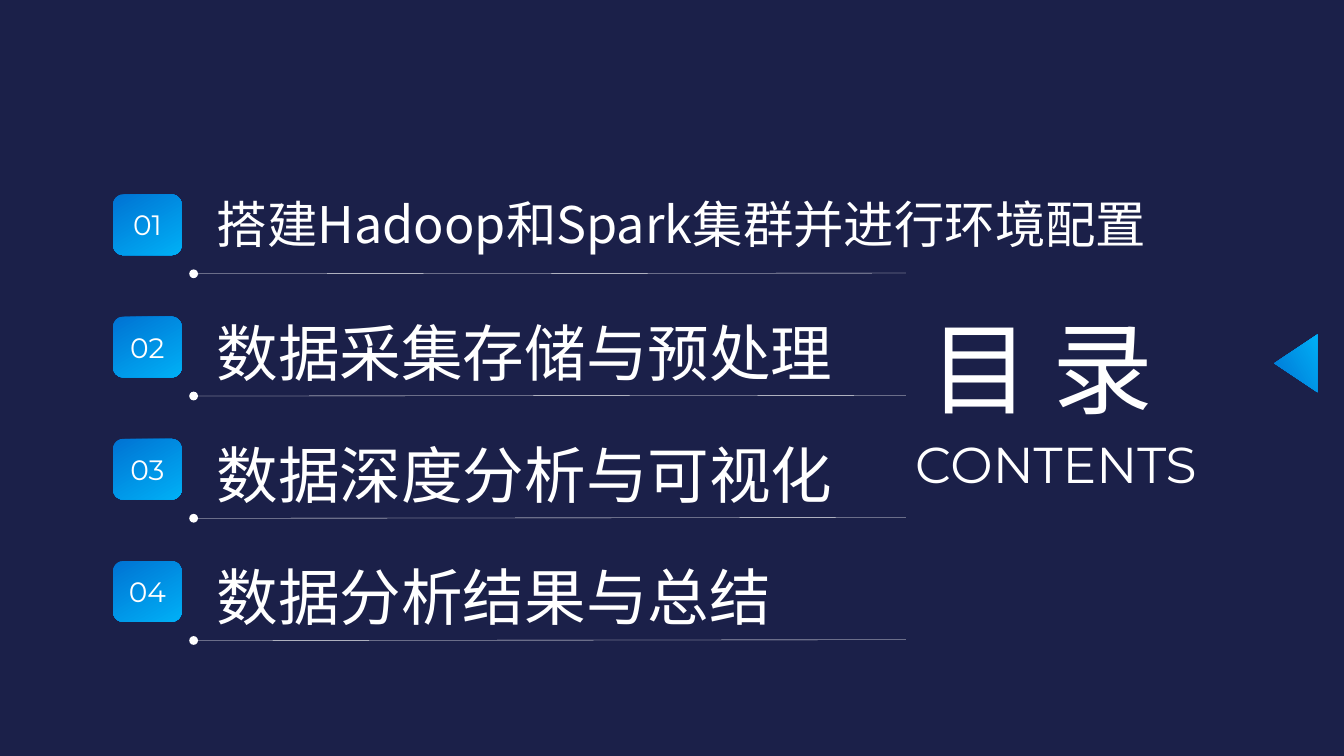
from lxml import etree
from pptx import Presentation
from pptx.dml.color import RGBColor
from pptx.enum import shapes, text
from pptx.oxml import ns
from pptx.util import Cm, Pt

TITLE = "目 录"
SUBTITLE = "CONTENTS"
ITEMS = [
    ("搭建Hadoop和Spark集群并进行环境配置", 36, 26.31, 1.8),
    ("数据采集存储与预处理", 44, 16.97, 2.13),
    ("数据深度分析与可视化", 44, 16.97, 2.13),
    ("数据分析结果与总结", 44, 16.97, 2.13),
]

NAVY = RGBColor(0x1B, 0x20, 0x49)
WHITE = RGBColor(0xFF, 0xFF, 0xFF)
BLUE = RGBColor(0x00, 0x73, 0xD3)
SKY = RGBColor(0x00, 0xB0, 0xF6)
CJK = "Noto Sans CJK SC"
LATIN = "Montserrat"

FIRST_TOP, PITCH = 4.9, 3.08
BADGE_LEFT, BADGE_W, BADGE_H = 2.85, 1.73, 1.53
TEXT_LEFT, TEXT_RISE = 5.21, 0.17
RULE_LEFT, RULE_RIGHT, RULE_DROP = 4.88, 22.83, 2.0
DOT = 0.22


def write(sp, content, size, font):
    """Put one white line of text into a shape."""
    tf = sp.text_frame
    tf.text = content
    tf.word_wrap = True
    p = tf.paragraphs[0]
    r = p.runs[0]
    r.font.size = Pt(size)
    r.font.name = font
    r.font.color.rgb = WHITE
    ea = etree.SubElement(r.font._element, ns.qn("a:ea"))
    ea.set("typeface", font)
    r.font._element.find(ns.qn("a:latin")).addnext(ea)
    return p


def add_label(s, box, content, size, font):
    """Add a text box holding one line."""
    sp = s.shapes.add_textbox(*map(Cm, box))
    write(sp, content, size, font)


def add_plain(s, kind, box):
    """Add a preset shape without outline or shadow."""
    sp = s.shapes.add_shape(kind, *map(Cm, box))
    sp.shadow.inherit = False
    sp.line.fill.background()
    return sp


def add_gradient(s, kind, box):
    """Add a preset shape with the blue gradient."""
    sp = add_plain(s, kind, box)
    sp.fill.gradient()
    sp.fill.gradient_angle = 300
    for stop, color in zip(sp.fill.gradient_stops, (BLUE, SKY)):
        stop.color.rgb = color
    return sp


def add_item(s, number, item):
    """Add one contents row: rule, dot, numbered badge and text."""
    content, size, width, height = item
    top = FIRST_TOP + (number - 1) * PITCH
    rule_y = top + RULE_DROP

    rule = s.shapes.add_connector(
        shapes.MSO_CONNECTOR.STRAIGHT,
        Cm(RULE_RIGHT), Cm(rule_y - 0.02), Cm(RULE_LEFT), Cm(rule_y))
    rule.line.color.rgb = WHITE
    rule.line.width = Pt(0.25)
    etree.SubElement(rule._element.spPr, ns.qn("a:effectLst"))

    dot = add_plain(s, shapes.MSO_SHAPE.OVAL,
                    (RULE_LEFT - DOT / 2, rule_y - DOT / 2, DOT, DOT))
    dot.fill.solid()
    dot.fill.fore_color.rgb = WHITE

    badge = add_gradient(s, shapes.MSO_SHAPE.ROUNDED_RECTANGLE,
                         (BADGE_LEFT, top, BADGE_W, BADGE_H))
    p = write(badge, f"{number:02}", 20, LATIN)
    p.alignment = text.PP_ALIGN.CENTER
    badge.text_frame.vertical_anchor = text.MSO_ANCHOR.MIDDLE

    add_label(s, (TEXT_LEFT, top - TEXT_RISE, width, height), content, size, CJK)


def main():
    """Build the contents slide."""
    prs = Presentation()
    prs.slide_width, prs.slide_height = Cm(33.87), Cm(19.05)
    s = prs.slides.add_slide(prs.slide_layouts[5])
    s.background.fill.solid()
    s.background.fill.fore_color.rgb = NAVY

    title = s.shapes.title
    title.left, title.top, title.width, title.height = map(
        Cm, (23.16, 7.57, 16.97, 3.33))
    p = write(title, TITLE, 72, CJK)
    p.alignment = text.PP_ALIGN.LEFT
    title.text_frame.vertical_anchor = text.MSO_ANCHOR.TOP
    add_label(s, (22.81, 10.8, 13.28, 1.8), SUBTITLE, 36, LATIN)

    arrow = add_gradient(s, shapes.MSO_SHAPE.ISOSCELES_TRIANGLE,
                         (31.93, 8.61, 1.45, 1.09))
    arrow.rotation = 270

    for number, item in enumerate(ITEMS, 1):
        add_item(s, number, item)
    prs.save("out.pptx")


if __name__ == "__main__":
    main()
